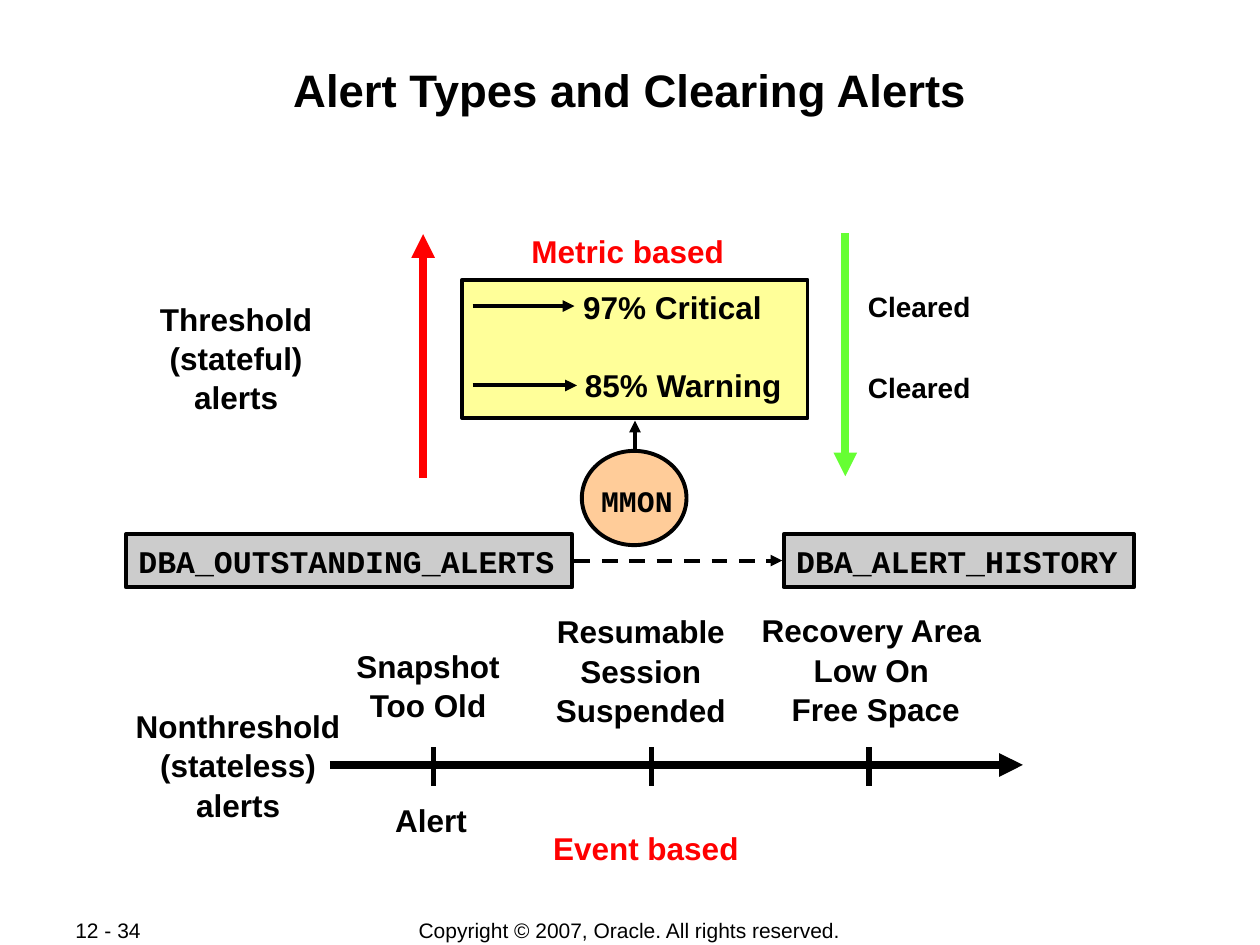
from lxml import etree
from pptx import Presentation
from pptx.dml.color import RGBColor
from pptx.enum import dml, shapes, text
from pptx.oxml import ns
from pptx.util import Cm, Pt

BLACK = RGBColor(0x00, 0x00, 0x00)
RED = RGBColor(0xFF, 0x00, 0x00)
GREEN = RGBColor(0x66, 0xFF, 0x33)
YELLOW = RGBColor(0xFF, 0xFF, 0x99)
PEACH = RGBColor(0xFF, 0xCC, 0x99)
GRAY = RGBColor(0xCC, 0xCC, 0xCC)
CENTER = text.PP_ALIGN.CENTER
LEFT = text.PP_ALIGN.LEFT
TOP = text.MSO_ANCHOR.TOP
MIDDLE = text.MSO_ANCHOR.MIDDLE
RECTANGLE = shapes.MSO_SHAPE.RECTANGLE
OVAL = shapes.MSO_SHAPE.OVAL

presentation = Presentation()
presentation.slide_width = Cm(25.4)
presentation.slide_height = Cm(19.05)
slide = presentation.slides.add_slide(presentation.slide_layouts[6])


def add_text(words, left, top, width, height, size=18, font="Arial", color=BLACK,
             bold=True, align=CENTER, anchor=TOP, wrap=False, inset=None,
             kind=None, fill=None):
    box = [Cm(value) for value in (left, top, width, height)]
    if kind is None:
        shape = slide.shapes.add_textbox(*box)
    else:
        shape = slide.shapes.add_shape(kind, *box)
        shape.shadow.inherit = False
        shape.fill.solid()
        shape.fill.fore_color.rgb = fill
        shape.line.color.rgb = BLACK
        shape.line.width = Pt(2.25)
    frame = shape.text_frame
    frame.word_wrap = wrap
    frame.vertical_anchor = anchor
    if inset is not None:
        frame.margin_top = frame.margin_bottom = Cm(inset)
    paragraph = frame.paragraphs[0]
    paragraph.text = words
    paragraph.alignment = align
    if "\v" in words:
        paragraph.line_spacing = 1.04
    for run in paragraph.runs:
        run.font.size = Pt(size)
        run.font.name = font
        run.font.bold = bold
        run.font.color.rgb = color


def add_line(x1, y1, x2, y2, color=BLACK, width=2.25, arrow=True, dashed=False):
    connector = slide.shapes.add_connector(
        shapes.MSO_CONNECTOR.STRAIGHT, Cm(x1), Cm(y1), Cm(x2), Cm(y2))
    connector.line.color.rgb = color
    connector.line.width = Pt(width)
    if dashed:
        connector.line.dash_style = dml.MSO_LINE.DASH
    if arrow:
        outline = connector.line._get_or_add_ln()
        etree.SubElement(outline, ns.qn("a:tailEnd"), type="triangle")
    etree.SubElement(connector._element.spPr, ns.qn("a:effectLst"))


add_text("Copyright © 2007, Oracle. All rights reserved.", 6.99, 18.49, 11.4, 0.53,
         size=12, bold=False, anchor=MIDDLE)
add_text("12 - 34", 1.27, 18.49, 2.69, 0.51, size=12, bold=False,
         align=LEFT, anchor=MIDDLE)
add_text("Alert Types and Clearing Alerts", 1.7, 1.22, 22, 2.44,
         size=26, wrap=True, inset=0.03)

add_text("", 9.32, 5.64, 6.96, 2.79, kind=RECTANGLE, fill=YELLOW)
add_text("", 11.73, 9.09, 2.11, 1.9, kind=OVAL, fill=PEACH)
add_text("MMON", 11.86, 9.6, 1.96, 0.97, size=17, font="Courier New")
add_line(9.53, 6.17, 11.58, 6.17)
add_line(9.53, 7.77, 11.63, 7.77)
add_line(12.8, 9.07, 12.8, 8.48)
add_text("97% Critical", 11.33, 5.69, 4.45, 0.99, wrap=True)
add_text("85% Warning", 11.23, 7.26, 5.08, 0.99, wrap=True)
for top in (5.72, 7.34):
    add_text("Cleared", 17.17, top, 2.72, 0.91, size=16, wrap=True)

add_line(6.65, 15.42, 20.62, 15.42, width=4.5)
for tick in range(3):
    x = 8.74 + tick * 4.39
    add_line(x, 15.06, x, 15.85, width=3, arrow=False)

add_text("Alert", 7.65, 16.03, 2.08, 0.99, wrap=True)
add_text("Snapshot\vToo Old", 6.93, 12.88, 3.4, 1.78)
add_text("Resumable\vSession\vSuspended", 10.95, 12.19, 3.94, 2.54)
add_text("Recovery Area \vLow On \vFree Space", 15.09, 12.17, 5.13, 2.54)
add_text("Metric based", 10.46, 4.55, 4.39, 1.02, color=RED)
add_text("Event based", 10.9, 16.59, 4.24, 1.02, color=RED)
add_text("Threshold\v(stateful)\valerts", 2.97, 5.89, 3.58, 2.54)
add_text("Nonthreshold (stateless)\valerts", 2.16, 14.1, 5.28, 2.54, wrap=True)

for view, left, width in (("DBA_OUTSTANDING_ALERTS", 2.54, 8.99),
                          ("DBA_ALERT_HISTORY", 15.8, 7.06)):
    add_text(view, left, 10.77, width, 1.07, font="Courier New", align=LEFT,
             anchor=MIDDLE, wrap=True, inset=0.03, kind=RECTANGLE, fill=GRAY)
add_line(11.58, 11.3, 15.77, 11.3, dashed=True)
add_line(8.53, 9.63, 8.53, 4.72, color=RED, width=4.5)
add_line(17.04, 4.7, 17.04, 9.6, color=GREEN, width=4.5)

presentation.save("out.pptx")
